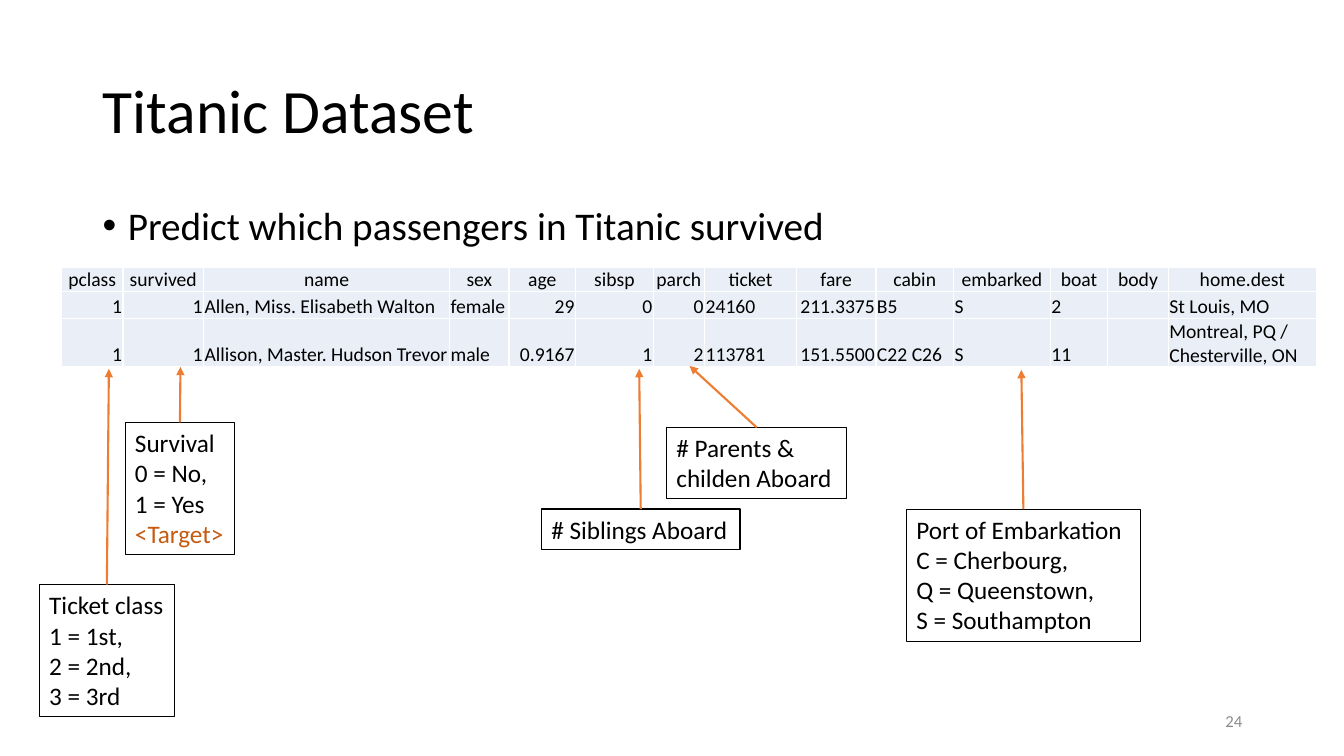
from dataclasses import dataclass

from lxml.etree import SubElement
from pptx import Presentation
from pptx.dml.color import RGBColor
from pptx.enum.shapes import MSO_CONNECTOR
from pptx.enum.text import MSO_ANCHOR, MSO_AUTO_SIZE, PP_ALIGN
from pptx.oxml import parse_xml
from pptx.oxml.ns import nsdecls, qn
from pptx.shapes.autoshape import Shape
from pptx.slide import Slide
from pptx.table import _Cell
from pptx.text.text import _Paragraph
from pptx.util import Inches, Pt


@dataclass(frozen=True)
class Theme:
    font: str = "Calibri"
    black: str = "000000"
    white: str = "FFFFFF"
    pale: str = "EAEFF7"
    orange: str = "ED7D31"
    rust: str = "C55A11"
    gray: str = "8C8C8C"
    title: int = 44
    body: int = 28
    note: int = 18
    cell: int = 14
    page: int = 12


@dataclass(frozen=True)
class Field:
    name: str
    width: float
    first: str
    second: str
    align: PP_ALIGN = PP_ALIGN.LEFT


@dataclass(frozen=True)
class Note:
    box: tuple[float, float, float, float]
    lines: tuple[str, ...]
    tip: tuple[float, float]
    wrap: bool = False


THEME = Theme()
RIGHT = PP_ALIGN.RIGHT
TARGET = "<Target>"

FIELDS = (
    Field("pclass", 0.61, "1", "1", RIGHT),
    Field("survived", 0.8, "1", "1", RIGHT),
    Field("name", 2.44, "Allen, Miss. Elisabeth Walton", "Allison, Master. Hudson Trevor"),
    Field("sex", 0.59, "female", "male"),
    Field("age", 0.66, "29", "0.9167", RIGHT),
    Field("sibsp", 0.77, "0", "1", RIGHT),
    Field("parch", 0.51, "0", "2", RIGHT),
    Field("ticket", 0.91, "24160", "113781"),
    Field("fare", 0.79, "211.3375", "151.5500", RIGHT),
    Field("cabin", 0.77, "B5", "C22 C26"),
    Field("embarked", 0.96, "S", "S"),
    Field("boat", 0.57, "2", "11"),
    Field("body", 0.6, "", ""),
    Field("home.dest", 1.47, "St Louis, MO", "Montreal, PQ / Chesterville, ON"),
)
ROWS = (0.14, 0.27, 0.27)

NOTES = (
    Note((1.24, 4.19, 1.09, 1.31), ("Survival", "0 = No,", "1 = Yes", TARGET), (1.79, 3.64)),
    Note((0.39, 5.8, 1.34, 1.31), ("Ticket class", "1 = 1st,", "2 = 2nd,", "3 = 3rd"), (1.08, 3.66)),
    Note((5.37, 5.05, 1.97, 0.4), ("# Siblings Aboard",), (6.34, 3.66)),
    Note((6.61, 4.24, 1.79, 0.71), ("# Parents & childen Aboard",), (6.84, 3.63), True),
    Note(
        (8.99, 5.05, 2.32, 1.31),
        ("Port of Embarkation", "C = Cherbourg,", "Q = Queenstown,", "S = Southampton"),
        (10.13, 3.67),
        True,
    ),
)


def style(para: _Paragraph, size: int, color: str) -> None:
    for run in para.runs:
        run.font.name = THEME.font
        run.font.size = Pt(size)
        run.font.bold = False
        run.font.color.rgb = RGBColor.from_string(color)


def add_text(
    slide: Slide,
    box: tuple[float, float, float, float],
    lines: tuple[str, ...],
    size: int,
    color: str = THEME.black,
    wrap: bool = True,
    anchor: MSO_ANCHOR = MSO_ANCHOR.TOP,
) -> Shape:
    shape = slide.shapes.add_textbox(*map(Inches, box))
    frame = shape.text_frame
    frame.word_wrap = wrap
    frame.vertical_anchor = anchor
    frame.text = "\n".join(lines)
    for para in frame.paragraphs:
        style(para, size, THEME.rust if para.text == TARGET else color)
    return shape


def add_bullet(para: _Paragraph) -> None:
    props = para._p.get_or_add_pPr()
    props.set("marL", str(Inches(0.25)))
    props.set("indent", str(-Inches(0.25)))
    SubElement(props, qn("a:buFont"), typeface="Arial")
    SubElement(props, qn("a:buChar"), char="•")


def fill_cell(cell: _Cell, text: str, align: PP_ALIGN) -> None:
    cell.margin_left = cell.margin_right = cell.margin_top = Inches(0.01)
    cell.margin_bottom = 0
    cell.vertical_anchor = MSO_ANCHOR.BOTTOM
    cell.fill.solid()
    cell.fill.fore_color.rgb = RGBColor.from_string(THEME.pale)
    for spot, side in enumerate("LRTB"):
        edge = parse_xml(
            f'<a:ln{side} {nsdecls("a")} w="{Pt(1)}"><a:solidFill>'
            f'<a:srgbClr val="{THEME.white}"/></a:solidFill></a:ln{side}>'
        )
        cell._tc.get_or_add_tcPr().insert(spot, edge)
    para = cell.text_frame.paragraphs[0]
    para.text = text
    para.alignment = align
    style(para, THEME.cell, THEME.black)
    if not text:
        SubElement(para._p, qn("a:endParaRPr"), sz=str(THEME.cell * 100))


def add_grid(slide: Slide) -> None:
    width = sum(field.width for field in FIELDS)
    place = map(Inches, (0.61, 2.65, width, sum(ROWS)))
    table = slide.shapes.add_table(len(ROWS), len(FIELDS), *place).table
    table.first_row = table.horz_banding = False
    for row, height in zip(table.rows, ROWS):
        row.height = Inches(height)
    for col, field in enumerate(FIELDS):
        table.columns[col].width = Inches(field.width)
        fill_cell(table.cell(0, col), field.name, PP_ALIGN.CENTER)
        fill_cell(table.cell(1, col), field.first, field.align)
        fill_cell(table.cell(2, col), field.second, field.align)


def add_note(slide: Slide, note: Note) -> None:
    box = add_text(slide, note.box, note.lines, THEME.note, wrap=note.wrap)
    box.text_frame.auto_size = MSO_AUTO_SIZE.SHAPE_TO_FIT_TEXT
    box.line.color.rgb = RGBColor.from_string(THEME.black)
    box.line.width = Pt(0.75)
    end = tuple(map(Inches, note.tip))
    arrow = slide.shapes.add_connector(MSO_CONNECTOR.STRAIGHT, *end, *end)
    arrow.begin_connect(box, 0)
    arrow.line.color.rgb = RGBColor.from_string(THEME.orange)
    arrow.line.width = Pt(1.5)
    SubElement(arrow.line._get_or_add_ln(), qn("a:tailEnd"), type="triangle")
    SubElement(arrow._element.spPr, qn("a:effectLst"))


def main() -> None:
    deck = Presentation()
    deck.slide_width = Inches(13.33)
    deck.slide_height = Inches(7.5)
    slide = deck.slides.add_slide(deck.slide_layouts[6])

    middle = MSO_ANCHOR.MIDDLE
    title = add_text(
        slide, (0.92, 0.4, 11.5, 1.45), ("Titanic Dataset",), THEME.title, anchor=middle
    )
    title.text_frame.paragraphs[0].line_spacing = 0.9

    body = add_text(
        slide,
        (0.92, 2, 11.5, 4.76),
        ("Predict which passengers in Titanic survived",),
        THEME.body,
    )
    point = body.text_frame.paragraphs[0]
    add_bullet(point)
    point.line_spacing = 0.9

    add_grid(slide)
    for note in NOTES:
        add_note(slide, note)

    page = add_text(
        slide, (9.42, 6.95, 3, 0.4), ("24",), THEME.page, THEME.gray, anchor=middle
    )
    page.text_frame.paragraphs[0].alignment = RIGHT
    deck.save("out.pptx")


if __name__ == "__main__":
    main()
